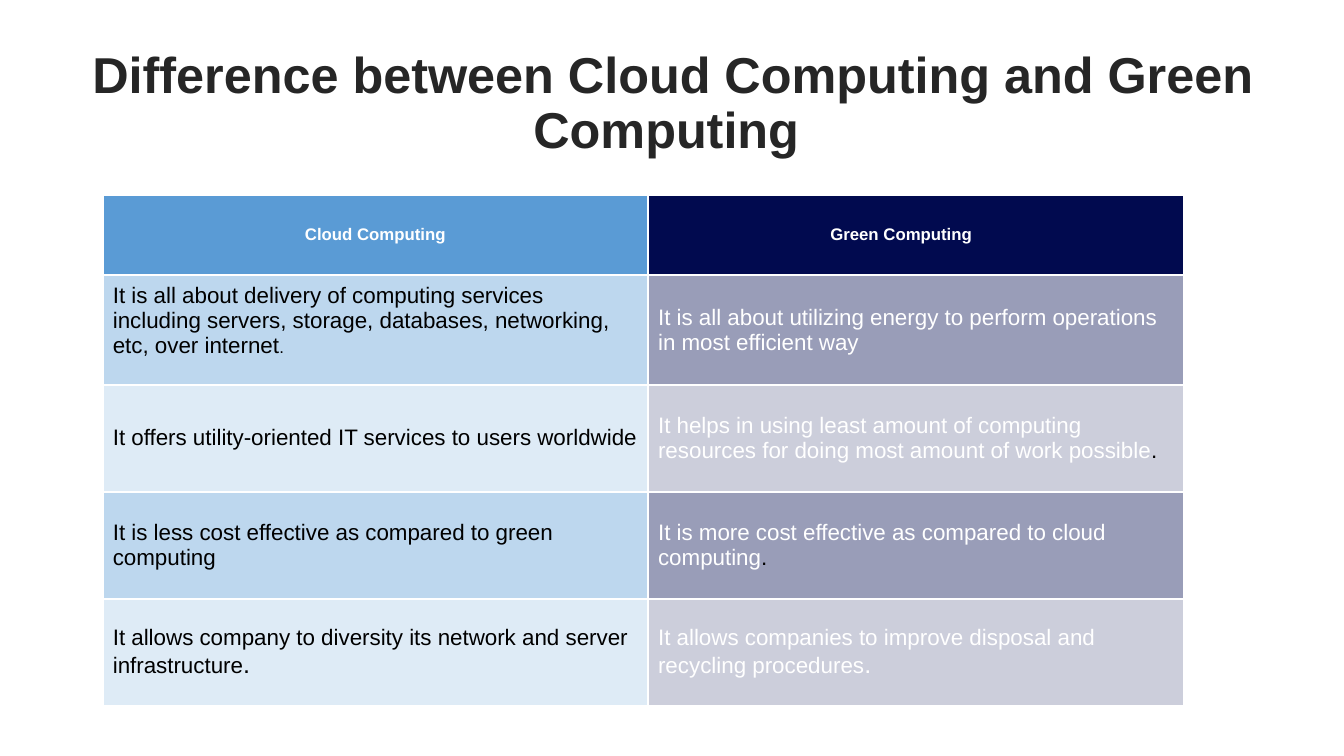
from pptx import Presentation
from pptx.dml.color import RGBColor
from pptx.enum.text import MSO_ANCHOR, PP_ALIGN
from pptx.oxml import parse_xml
from pptx.oxml.ns import nsdecls
from pptx.util import Pt
from lxml.etree import SubElement


def rgb(value):
    return RGBColor.from_string(value)


def add_text(p, text, size=16, color="000000", bold=False):
    r = p.add_run()
    r.text = text
    r.font.name = "Arial"
    r.font.size = Pt(size)
    r.font.bold = bold
    r.font.color.rgb = rgb(color)


prs = Presentation()
prs.slide_width, prs.slide_height = Pt(960), Pt(540)
s = prs.slides.add_slide(prs.slide_layouts[6])

# Title
title = s.shapes.add_textbox(Pt(25.2), Pt(26.6), Pt(911.5), Pt(96.5))
tf = title.text_frame
tf.word_wrap = True
tf.vertical_anchor = MSO_ANCHOR.MIDDLE
p = tf.paragraphs[0]
p.alignment = PP_ALIGN.CENTER
p.line_spacing = 0.9
add_text(p, "Difference between Cloud Computing and Green Computing ",
         size=36, color="262626", bold=True)

# Table content: each cell is a list of (text, size, colour)
BLACK, WHITE = "000000", "FFFFFF"
rows = [
    ([("Cloud Computing", 12, WHITE)],
     [("Green Computing", 12, WHITE)]),
    ([("It is all about delivery of computing services including servers, "
       "storage, databases, networking, etc, over internet", 16, BLACK), (".", 12, BLACK)],
     [("It is all about utilizing energy to perform operations in most efficient way", 16, WHITE)]),
    ([("It offers utility-oriented IT services to users worldwide", 16, BLACK)],
     [("It helps in using least amount of computing resources for doing most "
       "amount of work possible", 16, WHITE), (".", 16, BLACK)]),
    ([("It is less cost effective as compared to green computing", 16, BLACK)],
     [("It is more cost effective as compared to cloud computing", 16, WHITE), (".", 16, BLACK)]),
    ([("It allows company to diversity its network and server infrastructure", 16, BLACK),
      (".", 18, BLACK)],
     [("It allows companies to improve disposal and recycling procedures", 16, WHITE),
      (".", 18, WHITE)]),
]
widths = [389.5, 383]
heights = [57.6] + [76.4] * 4
fills = ["5A9BD5", "010A4F"]

# Table
tbl = s.shapes.add_table(len(rows), len(widths), Pt(73.4), Pt(139),
                         Pt(sum(widths)), Pt(sum(heights))).table
for col, width in zip(tbl.columns, widths):
    col.width = Pt(width)
for row, height in zip(tbl.rows, heights):
    row.height = Pt(height)

for i, row in enumerate(rows):
    for j, runs in enumerate(row):
        cell = tbl.cell(i, j)
        cell.vertical_anchor = MSO_ANCHOR.MIDDLE
        p = cell.text_frame.paragraphs[0]
        for text, size, color in runs:
            add_text(p, text, size=size, color=color, bold=i == 0)

        # White borders
        tcPr = cell._tc.get_or_add_tcPr()
        for side in ("lnL", "lnR", "lnT", "lnB"):
            tcPr.append(parse_xml(
                f'<a:{side} {nsdecls("a")} w="{Pt(1.5)}"><a:solidFill>'
                f'<a:srgbClr val="{WHITE}"/></a:solidFill></a:{side}>'))

        # Solid header, body rows alternating 40% and 20% opacity
        cell.fill.solid()
        cell.fill.fore_color.rgb = rgb(fills[j])
        if i > 0:
            clr = tcPr.find("{*}solidFill/{*}srgbClr")
            alpha = SubElement(clr, clr.tag.replace("srgbClr", "alpha"))
            alpha.set("val", "40000" if i % 2 else "20000")

# Header alignment and the raised first body cell
tbl.cell(0, 0).text_frame.paragraphs[0].alignment = PP_ALIGN.CENTER
pPr = tbl.cell(0, 1).text_frame.paragraphs[0]._p.get_or_add_pPr()
pPr.set("marL", str(Pt(123)))
pPr.set("indent", "0")
tbl.cell(1, 0).margin_bottom = Pt(17)

prs.save("out.pptx")
